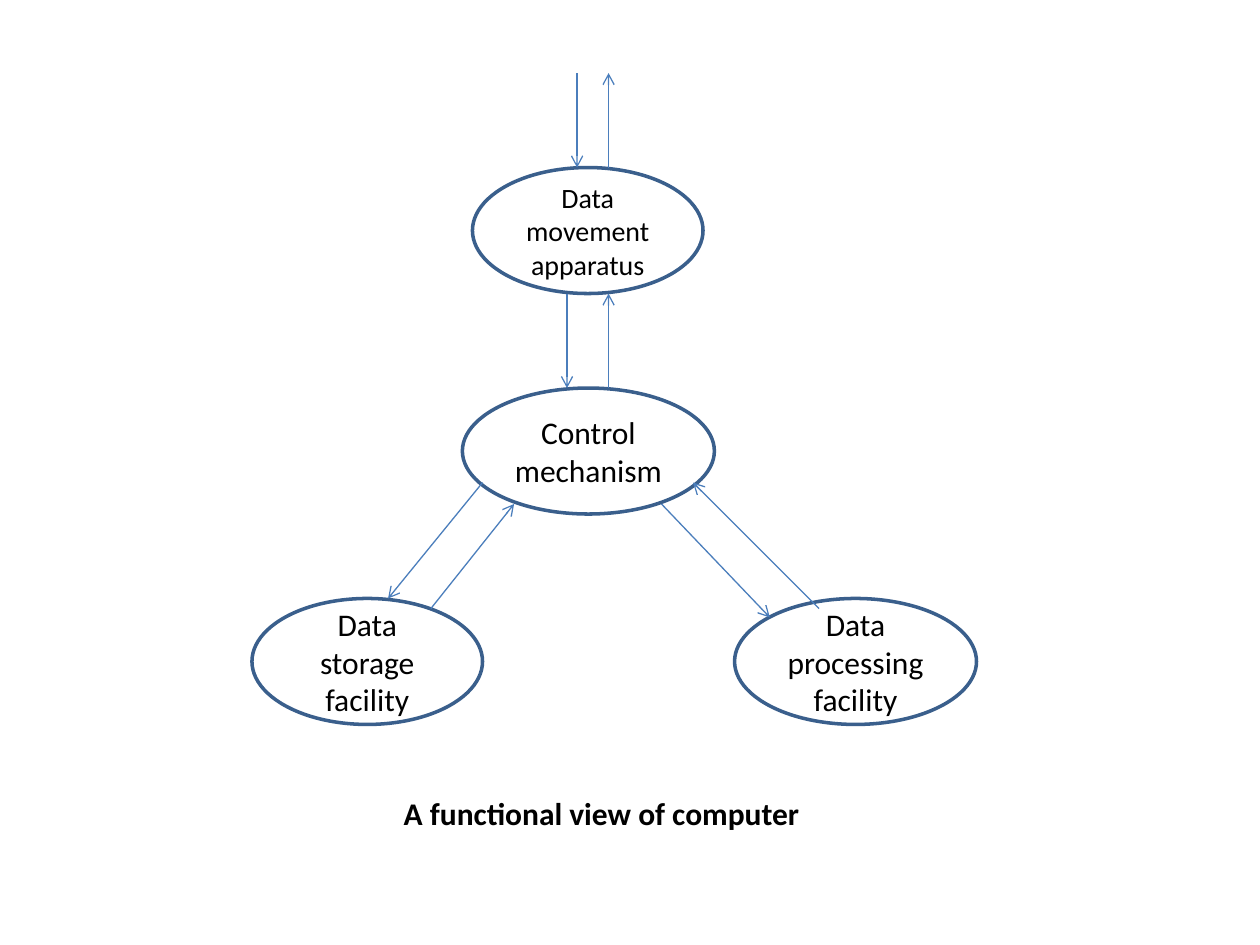
from lxml.etree import SubElement
from pptx import Presentation
from pptx.dml.color import RGBColor
from pptx.enum.shapes import MSO_CONNECTOR, MSO_SHAPE
from pptx.enum.text import MSO_ANCHOR, MSO_AUTO_SIZE, PP_ALIGN
from pptx.oxml.ns import qn
from pptx.util import Inches, Pt

FONT = "Calibri"
COLORS = {"text": "000000", "fill": "FFFFFF", "outline": "3A5F8C", "arrow": "4B7EBC"}
OVAL_HEIGHT = 1

# text, left, top, width, font size
OVALS = [
    ("Data movement apparatus", 3.75, 1.33, 1.83, 16),
    ("Data storage facility", 2, 4.75, 1.83, 18),
    ("Data processing facility", 5.83, 4.75, 1.92, 18),
    ("Control mechanism", 3.67, 3.08, 2, 18),
]

# start, end
ARROWS = [
    ((4.58, 0.58), (4.58, 1.33)),  # outside to movement
    ((4.83, 1.33), (4.83, 0.58)),
    ((4.5, 2.33), (4.5, 3.08)),  # movement to control
    ((4.83, 3.08), (4.83, 2.33)),
    ((3.83, 3.83), (3.08, 4.75)),  # control to storage
    ((3.42, 4.83), (4.08, 4)),
    ((5.25, 4), (6.11, 4.9)),  # control to processing
    ((6.5, 4.83), (5.5, 3.83)),
]


def color(name):
    return RGBColor.from_string(COLORS[name])


def write_centered(frame, text, size, bold=False):
    para = frame.paragraphs[0]
    para.alignment = PP_ALIGN.CENTER
    span = para.add_run()
    span.text = text
    span.font.name = FONT
    span.font.size = Pt(size)
    span.font.bold = bold
    span.font.color.rgb = color("text")


def add_oval(page, text, left, top, width, size):
    oval = page.shapes.add_shape(
        MSO_SHAPE.OVAL, Inches(left), Inches(top), Inches(width), Inches(OVAL_HEIGHT)
    )
    oval.shadow.inherit = False
    oval.fill.solid()
    oval.fill.fore_color.rgb = color("fill")
    oval.line.color.rgb = color("outline")
    oval.line.width = Pt(2)
    oval.text_frame.word_wrap = True
    oval.text_frame.vertical_anchor = MSO_ANCHOR.MIDDLE
    write_centered(oval.text_frame, text, size)


def add_arrow(page, start, end):
    arrow = page.shapes.add_connector(
        MSO_CONNECTOR.STRAIGHT, *(Inches(value) for value in start + end)
    )
    arrow.line.color.rgb = color("arrow")
    arrow.line.width = Pt(0.75)
    SubElement(arrow.line._get_or_add_ln(), qn("a:tailEnd"), type="arrow")
    SubElement(arrow._element.spPr, qn("a:effectLst"))


def add_caption(page, text):
    box = page.shapes.add_textbox(Inches(3.08), Inches(6.25), Inches(3.39), Inches(0.4))
    box.text_frame.word_wrap = False
    box.text_frame.auto_size = MSO_AUTO_SIZE.SHAPE_TO_FIT_TEXT
    write_centered(box.text_frame, text, 18, bold=True)


def main():
    deck = Presentation()
    deck.slide_width = Inches(10)
    deck.slide_height = Inches(7.5)
    page = deck.slides.add_slide(deck.slide_layouts.get_by_name("Blank"))
    add_caption(page, "A functional view of computer")
    for oval in OVALS:
        add_oval(page, *oval)
    for start, end in ARROWS:
        add_arrow(page, start, end)
    deck.save("out.pptx")


if __name__ == "__main__":
    main()
